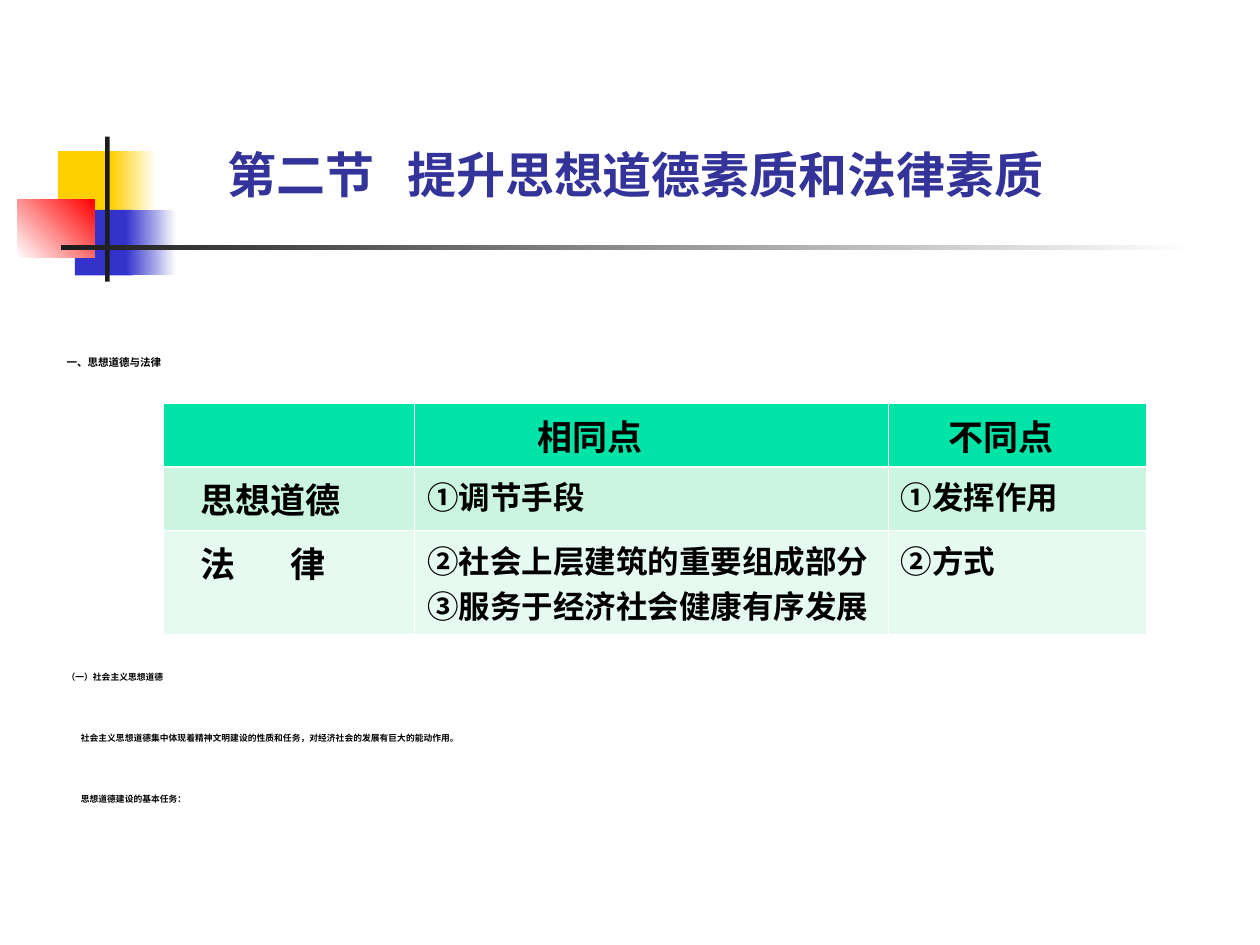
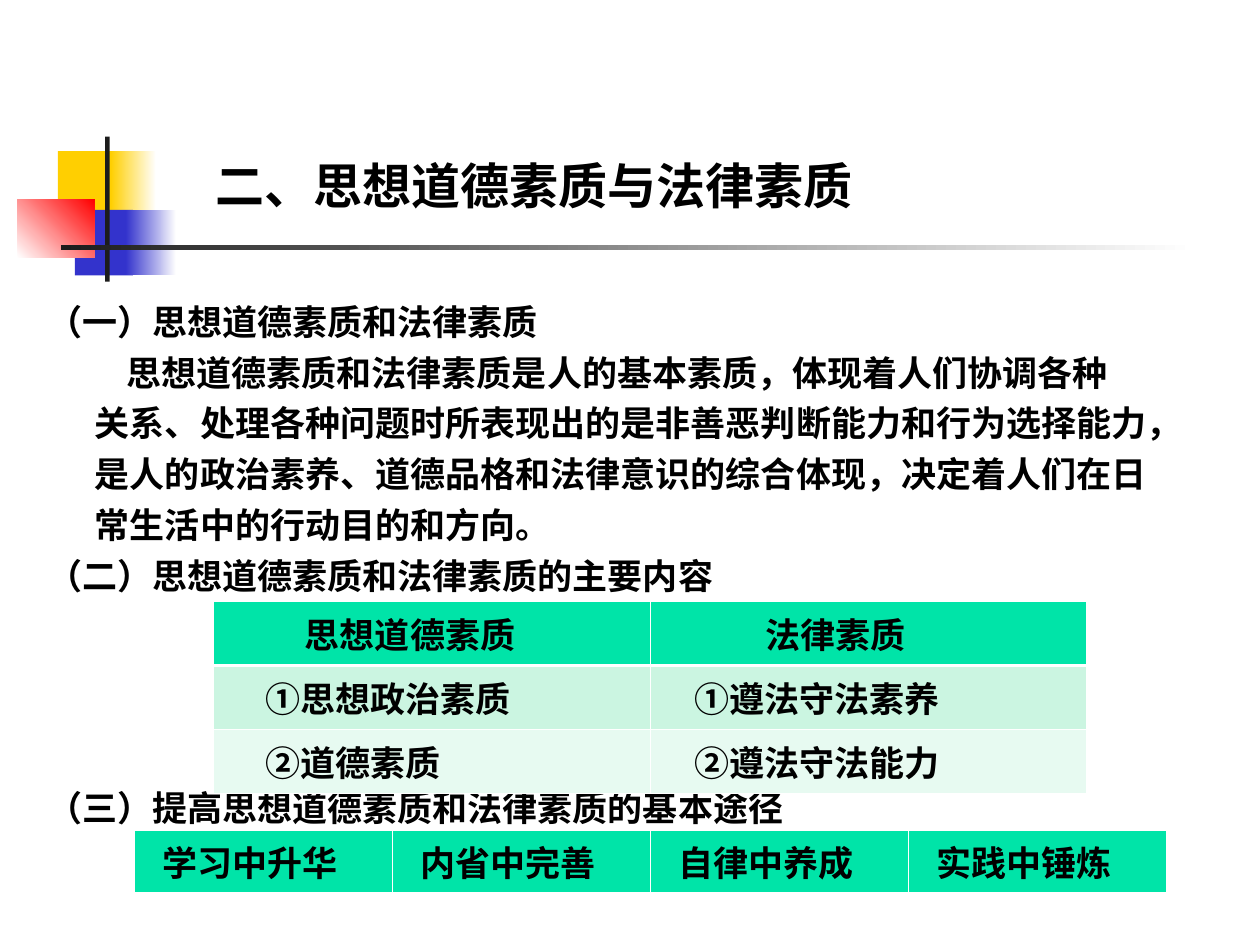
"""Build two lesson slides about moral and legal quality."""
import lxml.etree
import pptx
import pptx.dml.color
import pptx.enum.shapes
import pptx.enum.text
import pptx.oxml.ns
import pptx.util

RGBColor = pptx.dml.color.RGBColor
Pt = pptx.util.Pt
qn = pptx.oxml.ns.qn

WHITE = RGBColor(0xFF, 0xFF, 0xFF)
BLACK = RGBColor(0x00, 0x00, 0x00)
CHARCOAL = RGBColor(0x1C, 0x1C, 0x1C)
YELLOW = RGBColor(0xFF, 0xCF, 0x01)
BLUE = RGBColor(0x33, 0x33, 0xCC)
RED = RGBColor(0xFF, 0x00, 0x00)
NAVY = RGBColor(0x33, 0x33, 0x99)
HEADER_GREEN = RGBColor(0x00, 0xE4, 0xA8)
BAND_GREENS = (RGBColor(0xCB, 0xF5, 0xE1), RGBColor(0xE7, 0xFA, 0xF1))

LATIN_FONT, CHINESE_FONT = "Karla", "Noto Sans CJK SC"
UNIT = pptx.util.Inches(0.1)
COLUMNS, ROWS = 100, 75
CELL_MARGIN, CELL_STEP = Pt(7.2), Pt(4.5)
THIN, THICK = Pt(0.45), Pt(1.47)

ORNAMENTS = (
    ((4.6, 12, 4.8, 5.2), (YELLOW,), 0),
    ((8.8, 12, 3.6, 5.2), (YELLOW, WHITE), 0),
    ((5.95, 16.65, 4.6, 5.2), (BLUE,), 0),
    ((10, 16.65, 4, 5.2), (BLUE, WHITE), 0),
    ((1.4, 15.82, 6.1, 4.65), (WHITE, RED), 45),
    ((8.35, 10.85, 0.35, 11.5), (CHARCOAL,), 0),
    ((4.85, 19.47, 90, 0.37), (CHARCOAL, WHITE), 0),
)


def grid(*counts):
    """Turn grid counts into lengths."""
    return [round(count * UNIT) for count in counts]


def apply(target, values):
    """Set attributes of an object from a dict."""
    for name, value in values.items():
        setattr(target, name, value)


def add_ornament(slide, box, colors, angle):
    """Add a plain or gradient rectangle without outline."""
    shape = slide.shapes.add_shape(
        pptx.enum.shapes.MSO_SHAPE.RECTANGLE, *grid(*box))
    shape.shadow.inherit = False
    shape.line.fill.background()
    if len(colors) == 1:
        shape.fill.solid()
        shape.fill.fore_color.rgb = colors[0]
        return
    shape.fill.gradient()
    shape.fill.gradient_angle = angle
    for stop, color in zip(shape.fill.gradient_stops, colors):
        stop.color.rgb = color


def add_run(paragraph, text, size, color, spacing=0):
    """Add a bold run, with extra letter spacing in points if given."""
    run = paragraph.add_run()
    run.text = text
    apply(run.font, {"name": LATIN_FONT, "size": Pt(size), "bold": True})
    run.font.color.rgb = color
    properties = run._r.get_or_add_rPr()
    lxml.etree.SubElement(properties, qn("a:ea"), typeface=CHINESE_FONT)
    if spacing:
        properties.set("spc", str(round(spacing * 100)))


def write_paragraph(paragraph, text, size, color=BLACK, left=0, gap=0, **values):
    """Write text with a left indent; gap widens each space, in points."""
    properties = paragraph._p.get_or_add_pPr()
    properties.set("marL", str(grid(left)[0]))
    properties.set("indent", "0")
    apply(paragraph, values)
    for index, part in enumerate(text.split(" ")):
        if index:
            add_run(paragraph, " ", size, color, gap)
        add_run(paragraph, part, size, color)


def add_text(slide, box, paragraphs, anchor=pptx.enum.text.MSO_ANCHOR.TOP):
    """Add a wrapped text box holding the given paragraphs."""
    frame = slide.shapes.add_textbox(*grid(*box)).text_frame
    apply(frame, {"word_wrap": True, "vertical_anchor": anchor})
    for index, values in enumerate(paragraphs):
        paragraph = frame.add_paragraph() if index else frame.paragraphs[0]
        write_paragraph(paragraph, **values)


def add_title(slide, box, text, **values):
    """Add a slide title that stands on the bottom of its box."""
    add_text(slide, box, [dict(text=text, size=28, **values)],
             pptx.enum.text.MSO_ANCHOR.BOTTOM)


def add_border(properties, position, side, width):
    """Insert a white border line at one side of a cell."""
    line = lxml.etree.Element(qn("a:" + side), w=str(width))
    fill = lxml.etree.SubElement(line, qn("a:solidFill"))
    lxml.etree.SubElement(fill, qn("a:srgbClr"), val=str(WHITE))
    properties.insert(position, line)


def format_cell(cell, row, steps):
    """Fill a cell by its row, set its margins and draw its borders."""
    cell.fill.solid()
    cell.fill.fore_color.rgb = BAND_GREENS[(row - 1) % 2] if row else HEADER_GREEN
    apply(cell, {"margin_left": CELL_MARGIN + steps * CELL_STEP,
                 "margin_right": 0,
                 "margin_top": Pt(3.6), "margin_bottom": Pt(3.6)})
    widths = {"lnL": THIN, "lnR": THIN,
              "lnT": THICK if row == 1 else THIN,
              "lnB": THIN if row else THICK}
    for position, (side, width) in enumerate(widths.items()):
        add_border(cell._tc.get_or_add_tcPr(), position, side, width)


def add_grid_table(slide, left, top, widths, heights, rows):
    """Add a table whose cells are (lines, indent steps, size, gap)."""
    table = slide.shapes.add_table(
        len(heights), len(widths),
        *grid(left, top, sum(widths), sum(heights))).table
    for column, width in zip(table.columns, grid(*widths)):
        column.width = width
    for row, height in zip(table.rows, grid(*heights)):
        row.height = height
    for row_index, contents in enumerate(rows):
        for column_index, (lines, steps, size, *gap) in enumerate(contents):
            cell = table.cell(row_index, column_index)
            format_cell(cell, row_index, steps)
            for index, line in enumerate(lines):
                frame = cell.text_frame
                paragraph = frame.add_paragraph() if index else frame.paragraphs[0]
                write_paragraph(paragraph, line, size, gap=sum(gap))


def add_slide(presentation):
    """Add a blank slide with the shared ornaments."""
    slide = presentation.slides.add_slide(presentation.slide_layouts[6])
    for ornament in ORNAMENTS:
        add_ornament(slide, *ornament)
    return slide


def build_morality_and_law(presentation):
    """Build the slide that compares morality with law."""
    slide = add_slide(presentation)
    add_title(slide, (17.05, 7.4, 82.95, 9.2), "第二节 提升思想道德素质和法律素质",
              color=NAVY, gap=12.6)
    spacing = {"line_spacing": Pt(30)}
    detail = {"size": 5, "space_before": Pt(5), **spacing}
    add_text(slide, (4.3, 24.6, 92.1, 50.4), [
        dict(text="一、思想道德与法律", size=6, **spacing),
        dict(text="（一）社会主义思想道德", size=5, space_before=Pt(149), **spacing),
        dict(text="社会主义思想道德集中体现着精神文明建设的性质和任务，"
                  "对经济社会的发展有巨大的能动作用。", left=1.13, **detail),
        dict(text="思想道德建设的基本任务：", left=1.13, **detail),
    ])
    add_grid_table(slide, 13, 32, (19.9, 37.6, 20.5), (5.05, 5.05, 8.25), (
        (((), 0, 20), (("相同点",), 14, 20), (("不同点",), 6, 20)),
        ((("思想道德",), 3, 20), (("①调节手段",), 0, 18), (("①发挥作用",), 0, 18)),
        ((("法 律",), 3, 20, 27),
         (("②社会上层建筑的重要组成部分", "③服务于经济社会健康有序发展"), 0, 18),
         (("②方式",), 0, 18)),
    ))


def build_qualities(presentation):
    """Build the slide on the content of both qualities and the ways to them."""
    slide = add_slide(presentation)
    add_title(slide, (16.15, 8.3, 79.1, 9.2), "二、思想道德素质与法律素质")
    body = {"size": 20, "space_before": Pt(5)}
    add_text(slide, (2.75, 23.35, 97.25, 51.65), [
        dict(text="（一）思想道德素质和法律素质", size=20),
        dict(text="思想道德素质和法律素质是人的基本素质，体现着人们协调各种",
             left=6.3, **body),
        dict(text="关系、处理各种问题时所表现出的是非善恶判断能力和行为选择能力，",
             left=3.8, **body),
        dict(text="是人的政治素养、道德品格和法律意识的综合体现，决定着人们在日",
             left=3.8, **body),
        dict(text="常生活中的行动目的和方向。", left=3.8, **body),
        dict(text="（二）思想道德素质和法律素质的主要内容", **body),
        dict(text="（三）提高思想道德素质和法律素质的基本途径", size=20,
             space_before=Pt(109)),
    ])
    add_grid_table(slide, 16.95, 47.75, [34.65] * 2, [5.07] * 3, (
        ((("思想道德素质",), 10, 20), (("法律素质",), 13, 20)),
        ((("①思想政治素质",), 5, 20), (("①遵法守法素养",), 4, 20)),
        ((("②道德素质",), 5, 20), (("②遵法守法能力",), 4, 20)),
    ))
    ways = ("学习中升华", "内省中完善", "自律中养成", "实践中锤炼")
    add_grid_table(slide, 10.65, 65.87, [20.48] * len(ways), [5.05],
                   [[((way,), 2, 20) for way in ways]])


def main():
    """Build and save the presentation."""
    presentation = pptx.Presentation()
    apply(presentation, {"slide_width": COLUMNS * UNIT,
                         "slide_height": ROWS * UNIT})
    build_morality_and_law(presentation)
    build_qualities(presentation)
    presentation.save("out.pptx")


if __name__ == "__main__":
    main()
